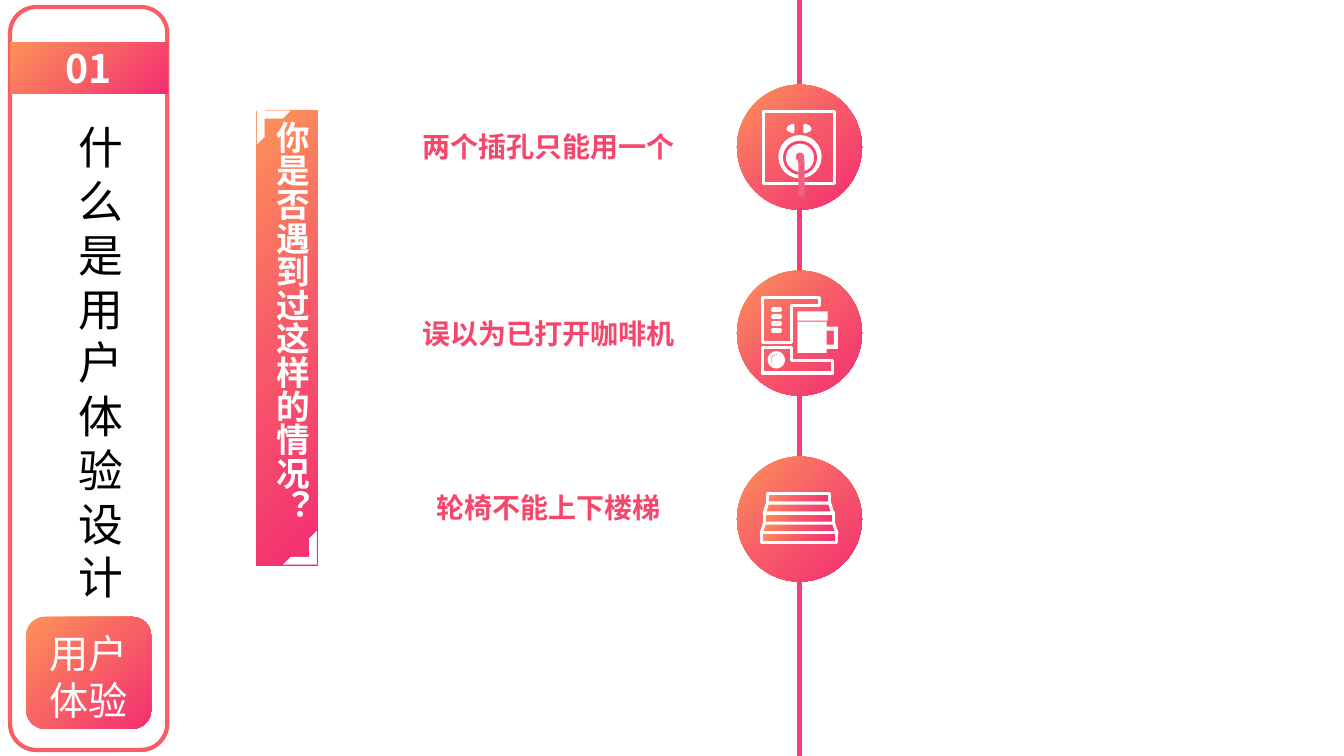
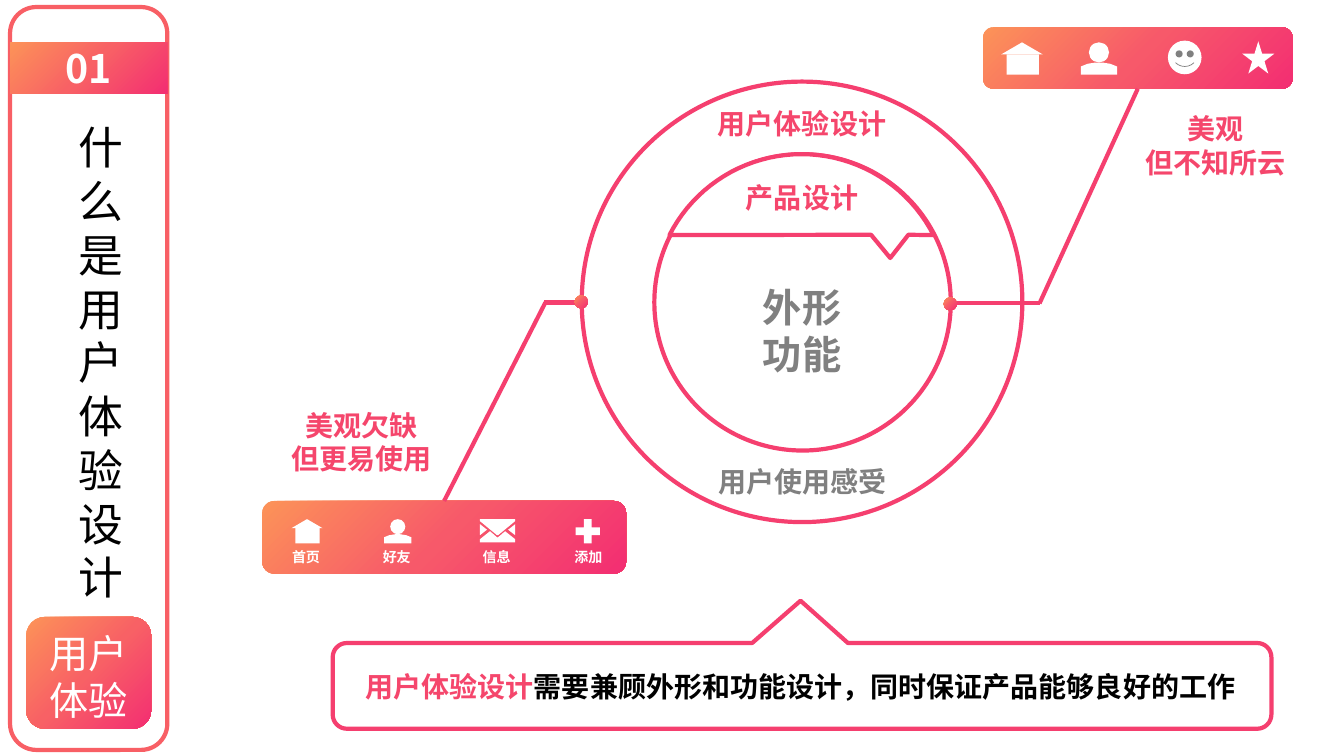
"""Build two slides about user experience design with a shared sidebar."""
from copy import deepcopy
from math import cos, radians, sin

from lxml import etree
from pptx import Presentation
from pptx.dml.color import RGBColor
from pptx.enum.shapes import MSO_CONNECTOR, MSO_SHAPE
from pptx.enum.text import MSO_ANCHOR, PP_ALIGN
from pptx.oxml.ns import qn
from pptx.util import Inches, Pt

RECT = MSO_SHAPE.RECTANGLE
ROUND = MSO_SHAPE.ROUNDED_RECTANGLE
OVAL = MSO_SHAPE.OVAL
TRIANGLE = MSO_SHAPE.ISOSCELES_TRIANGLE
TRAPEZOID = MSO_SHAPE.TRAPEZOID
HALF_FRAME = MSO_SHAPE.HALF_FRAME
PLUS = MSO_SHAPE.CROSS
STAR = MSO_SHAPE.STAR_5_POINT
SMILEY = MSO_SHAPE.SMILEY_FACE
ARC = MSO_SHAPE.ARC
STRAIGHT = MSO_CONNECTOR.STRAIGHT
LEFT, CENTER = PP_ALIGN.LEFT, PP_ALIGN.CENTER
TOP, MIDDLE = MSO_ANCHOR.TOP, MSO_ANCHOR.MIDDLE

FONT = "Noto Sans CJK SC"
WHITE = RGBColor(0xFF, 0xFF, 0xFF)
BLACK = RGBColor(0x00, 0x00, 0x00)
GREY = RGBColor(0x80, 0x80, 0x80)
PINK = RGBColor(0xF5, 0x3F, 0x6F)
TEXT_PINK = RGBColor(0xF5, 0x46, 0x6C)
CABLE = RGBColor(0xF6, 0x60, 0x80)
CORAL = RGBColor(0xF8, 0x5F, 0x65)
ORANGE = RGBColor(0xFC, 0x93, 0x58)
MAGENTA = RGBColor(0xF3, 0x2E, 0x72)
GRADIENT = [ORANGE, RGBColor(0xF7, 0x59, 0x6A), MAGENTA]
SIDE_GRADIENT = [ORANGE, RGBColor(0xF8, 0x61, 0x65), MAGENTA]


def paint(sp, fill, line, width):
    sp.shadow.inherit = False
    if fill is None:
        sp.fill.background()
    elif isinstance(fill, list):
        sp.fill.gradient()
        sp.fill.gradient_angle = 315
        stops = sp._element.spPr.find(".//" + qn("a:gsLst"))
        stops.insert(1, deepcopy(stops[0]))
        for i, (stop, color) in enumerate(zip(sp.fill.gradient_stops, fill)):
            stop.position = i / 2
            stop.color.rgb = color
    else:
        sp.fill.solid()
        sp.fill.fore_color.rgb = fill
    if line is None:
        sp.line.fill.background()
    else:
        sp.line.color.rgb = line
        sp.line.width = Pt(width)


def shape(shapes, kind, box, fill=None, line=None, width=2.25, adj=(), rot=0):
    sp = shapes.add_shape(kind, *map(Inches, box))
    paint(sp, fill, line, width)
    for i, value in enumerate(adj):
        sp.adjustments[i] = value
    sp.rotation = rot
    return sp


def outline(shapes, contours, fill=None, line=None, width=2.25, close=True):
    paths = [[(Inches(x), Inches(y)) for x, y in c] for c in contours]
    builder = shapes.build_freeform(*paths[0][0], scale=1.0)
    for i, pts in enumerate(paths):
        if i:
            builder.move_to(*pts[0])
        builder.add_line_segments(pts[1:], close=close)
    sp = builder.convert_to_shape()
    paint(sp, fill, line, width)
    return sp


def arc(cx, cy, radius, start, end, steps=24):
    angles = [radians(start + (end - start) * i / steps) for i in range(steps + 1)]
    return [(cx + radius * cos(a), cy + radius * sin(a)) for a in angles]


def rect_points(x, y, w, h):
    return [(x, y), (x + w, y), (x + w, y + h), (x, y + h)]


def connect(shapes, start, end):
    cxn = shapes.add_connector(STRAIGHT, *map(Inches, start + end))
    cxn.line.color.rgb = PINK
    cxn.line.width = Pt(3)
    etree.SubElement(cxn._element.spPr, qn("a:effectLst"))
    return cxn


def write(sp, lines, size, color, bold=True, align=CENTER, anchor=TOP):
    tf = sp.text_frame
    tf.word_wrap = True
    tf.vertical_anchor = anchor
    for i, line in enumerate(lines):
        p = tf.add_paragraph() if i else tf.paragraphs[0]
        p.add_run().text = line
        p.alignment = align
        p.font.size = Pt(size)
        p.font.bold = bold
        p.font.color.rgb = color
        p.font.name = FONT
        ea = etree.SubElement(p.font._element, qn("a:ea"))
        ea.set("typeface", FONT)
    return tf


def text(shapes, box, lines, size=20, color=TEXT_PINK, bold=True):
    return write(shapes.add_textbox(*map(Inches, box)), lines, size, color, bold)


def sidebar(slide):
    g = slide.shapes.add_group_shape().shapes
    shape(g, ROUND, (0.1, 0.07, 1.56, 7.37), WHITE, CORAL, 3)
    text(g, (0.68, 1.14, 0.65, 4.95), ["什么是用户体验设计"], 32, BLACK, False)
    shape(g, ROUND, (0.26, 6.12, 1.24, 1.11), SIDE_GRADIENT)
    text(g, (0.26, 6.19, 1.23, 1.04), ["用户体验"], 28, WHITE, False)
    number = shape(g, RECT, (0.1, 0.42, 1.56, 0.51), SIDE_GRADIENT)
    write(number, ["01"], 28, WHITE, anchor=MIDDLE)


def socket_icon(g):
    shape(g, RECT, (7.57, 1.11, 0.71, 0.71), None, WHITE)
    prong = [(7.87, 1.24), (7.87, 1.31), (7.85, 1.31), (7.85, 1.29), (7.83, 1.3),
             (7.81, 1.28), (7.83, 1.25), (7.85, 1.26), (7.85, 1.24)]
    for pts in (prong, [(15.85 - x, y) for x, y in prong]):
        outline(g, [pts], WHITE, WHITE, 1.5)
    shape(g, OVAL, (7.72, 1.34, 0.43, 0.43), WHITE)
    shape(g, OVAL, (7.78, 1.41, 0.31, 0.31), WHITE, TEXT_PINK, 2)
    shape(g, OVAL, (7.9, 1.52, 0.07, 0.07), CABLE, CABLE, 1)
    cable = [(7.92, 1.54), (7.94, 1.56), (7.95, 1.62), (7.95, 1.95)]
    outline(g, [cable], None, CABLE, 4.5, close=False)


def coffee_icon(g):
    shape(g, RECT, (7.91, 3.09, 0.3, 0.09), WHITE)
    cup = [(8.31, 3.24), (8.2, 3.24), (8.2, 3.19), (7.91, 3.19),
           (7.91, 3.5), (8.2, 3.5), (8.2, 3.46), (8.31, 3.46)]
    outline(g, [cup, rect_points(8.2, 3.28, 0.07, 0.14)], WHITE)
    body = [(7.85, 3.03), (8.13, 3.03), (8.13, 2.95),
            (7.56, 2.95), (7.56, 3.4), (7.85, 3.4)]
    slots = [rect_points(7.66, 3.06 + 0.07 * i, 0.08, 0.02) for i in range(4)]
    outline(g, [body] + slots, None, WHITE)
    base = [(7.85, 3.58), (7.85, 3.45), (7.56, 3.45),
            (7.56, 3.7), (8.26, 3.7), (8.26, 3.58)]
    outline(g, [base, arc(7.7, 3.57, 0.07, 0, 360)], None, WHITE)
    shape(g, OVAL, (7.65, 3.52, 0.11, 0.11), WHITE)


def stairs_icon(g):
    steps = [(RECT, 7.61, 4.9, 0.62), (RECT, 7.58, 5.09, 0.69),
             (TRAPEZOID, 7.58, 4.99, 0.68), (TRAPEZOID, 7.55, 5.19, 0.75),
             (RECT, 7.55, 5.28, 0.75)]
    for kind, x, y, w in steps:
        adj = (0.32,) if kind == TRAPEZOID else ()
        shape(g, kind, (x, y, w, 0.1), GRADIENT, WHITE, adj=adj)


def home_icon(shapes, x, y, k):
    g = shapes.add_group_shape().shapes
    shape(g, TRIANGLE, (x, y, 0.31 * k, 0.09 * k), WHITE)
    shape(g, RECT, (x + 0.04 * k, y + 0.09 * k, 0.24 * k, 0.15 * k), WHITE)


def person_icon(shapes, x, y, k):
    g = shapes.add_group_shape().shapes
    shape(g, OVAL, (x + 0.06 * k, y, 0.15 * k, 0.15 * k), WHITE)
    torso = [(0, 0.24), (0, 0.18), (0.05, 0.16), (0.11, 0.15),
             (0.16, 0.15), (0.22, 0.16), (0.27, 0.18), (0.27, 0.24)]
    outline(g, [[(x + dx * k, y + dy * k) for dx, dy in torso]], WHITE)


def envelope_icon(shapes):
    g = shapes.add_group_shape().shapes
    for x, rot in ((4.74, 90), (5.02, 270)):
        shape(g, TRIANGLE, (x, 5.22, 0.11, 0.07), WHITE, rot=rot)
    outline(g, [[(4.76, 5.15), (5.11, 5.15), (5.11, 5.17),
                 (4.94, 5.31), (4.93, 5.31), (4.76, 5.17)]], WHITE)
    outline(g, [[(4.86, 5.27), (4.93, 5.33), (4.94, 5.33), (5.01, 5.27),
                 (5.11, 5.35), (5.11, 5.38), (4.76, 5.38), (4.76, 5.35)]], WHITE)


def smile_icon(shapes):
    g = shapes.add_group_shape().shapes
    shape(g, SMILEY, (11.59, 0.41, 0.32, 0.32), WHITE, WHITE, 1)
    for x in (11.66, 11.77):
        shape(g, OVAL, (x, 0.5, 0.07, 0.07), GREY)
    shape(g, ARC, (11.62, 0.4, 0.26, 0.26), None, GREY, 0.5, rot=135)


def banner(slide):
    g = slide.shapes.add_group_shape().shapes
    sp = shape(g, RECT, (2.54, 1.1, 0.61, 4.51), GRADIENT)
    tf = write(sp, ["你是否遇到过这样的情况？"], 24, WHITE, align=LEFT)
    tf._txBody.bodyPr.set("vert", "eaVert")
    for x, y, rot in ((2.55, 1.1, 0), (2.81, 5.27, 180)):
        shape(g, HALF_FRAME, (x, y, 0.33, 0.33), WHITE, WHITE, 0.25,
              (0.224, 0.224), rot)


def situations_slide(slide):
    shapes = slide.shapes
    banner(slide)
    size, pitch = 1.24, 1.845
    line_top = 0
    items = [("两个插孔只能用一个", 1.24, socket_icon),
             ("误以为已打开咖啡机", 3.09, coffee_icon),
             ("轮椅不能上下楼梯", 4.82, stairs_icon)]
    for i, (label, label_top, icon) in enumerate(items):
        top = 0.84 + pitch * i
        connect(shapes, (7.93, line_top), (7.93, top))
        line_top = top + size
        g = shapes.add_group_shape().shapes
        shape(g, OVAL, (7.31, top, size, size), GRADIENT)
        icon(g)
        text(shapes, (4.08, label_top, 2.72, 0.44), [label])
    connect(shapes, (7.93, line_top), (7.93, 7.5))
    sidebar(slide)


def conclusion(shapes):
    g = shapes.add_group_shape().shapes
    left, right, top, bottom, radius = 3.3, 12.61, 6.38, 7.23, 0.14
    corners = [(right - radius, top + radius, 270), (right - radius, bottom - radius, 0),
               (left + radius, bottom - radius, 90), (left + radius, top + radius, 180)]
    bubble = [(7.46, top), (7.94, 5.96), (8.41, top)]
    for cx, cy, start in corners:
        bubble += arc(cx, cy, radius, start, start + 90, 8)
    outline(g, [bubble], WHITE, PINK, 3)
    tf = text(g, (3.52, 6.59, 8.84, 0.44), ["用户体验设计"])
    r = tf.paragraphs[0].add_run()
    r.text = "需要兼顾外形和功能设计，同时保证产品能够良好的工作"
    r.font.color.rgb = BLACK


def rings(shapes):
    g = shapes.add_group_shape().shapes
    shape(g, OVAL, (5.77, 0.81, 4.37, 4.37), WHITE, PINK, 3)
    shape(g, OVAL, (6.49, 1.53, 2.94, 2.94), WHITE, PINK, 3)
    cap = arc(7.95, 3, 1.47, 207, 333, 40)
    outline(g, [cap + [(9.01, 2.33), (8.83, 2.56), (8.64, 2.33)]], WHITE, PINK, 3)
    text(g, (7.18, 1.74, 1.55, 0.44), ["产品设计"])
    text(g, (6.84, 1.01, 2.23, 0.44), ["用户体验设计"])
    text(g, (7.38, 2.76, 1.15, 1.04), ["外形", "功能"], 28, GREY)
    text(g, (7, 4.56, 1.92, 0.44), ["用户使用感受"], color=GREY)


def design_slide(slide):
    shapes = slide.shapes
    conclusion(shapes)
    labelled_bar = shape(shapes, ROUND, (2.6, 4.97, 3.61, 0.72), GRADIENT)
    home_icon(shapes, 2.89, 5.15, 1)
    person_icon(shapes, 3.81, 5.15, 1)
    envelope_icon(shapes)
    shape(shapes, PLUS, (5.71, 5.15, 0.24, 0.24), WHITE, adj=(0.339,))
    for x, label in ((2.68, "首页"), (3.58, "好友"), (4.57, "信息"), (5.48, "添加")):
        text(shapes, (x, 5.39, 0.71, 0.27), [label], 10, WHITE)
    icon_bar = shape(shapes, ROUND, (9.75, 0.27, 3.07, 0.61), GRADIENT)
    home_icon(shapes, 9.93, 0.42, 4 / 3)
    person_icon(shapes, 10.72, 0.42, 4 / 3)
    smile_icon(shapes)
    shape(shapes, STAR, (12.32, 0.41, 0.32, 0.32), WHITE)
    rings(shapes)
    connect(shapes, (10.31, 3.01), (11.28, 0.88)).end_connect(icon_bar, 2)
    connect(shapes, (9.48, 3.01), (10.32, 3.01))
    connect(shapes, (5.41, 3), (4.4, 4.97)).end_connect(labelled_bar, 0)
    connect(shapes, (5.75, 3), (5.4, 3))
    for x, y in ((9.36, 2.95), (5.7, 2.93)):
        shape(shapes, OVAL, (x, y, 0.13, 0.13), GRADIENT)
    text(shapes, (11, 1.06, 2.11, 0.77), ["美观", "但不知所云"])
    text(shapes, (2.53, 4, 2.11, 0.77), ["美观欠缺", "但更易使用"])
    sidebar(slide)


def main():
    prs = Presentation()
    prs.slide_width, prs.slide_height = Inches(13.33), Inches(7.5)
    for build in (situations_slide, design_slide):
        build(prs.slides.add_slide(prs.slide_layouts[6]))
    prs.save("out.pptx")


if __name__ == "__main__":
    main()
